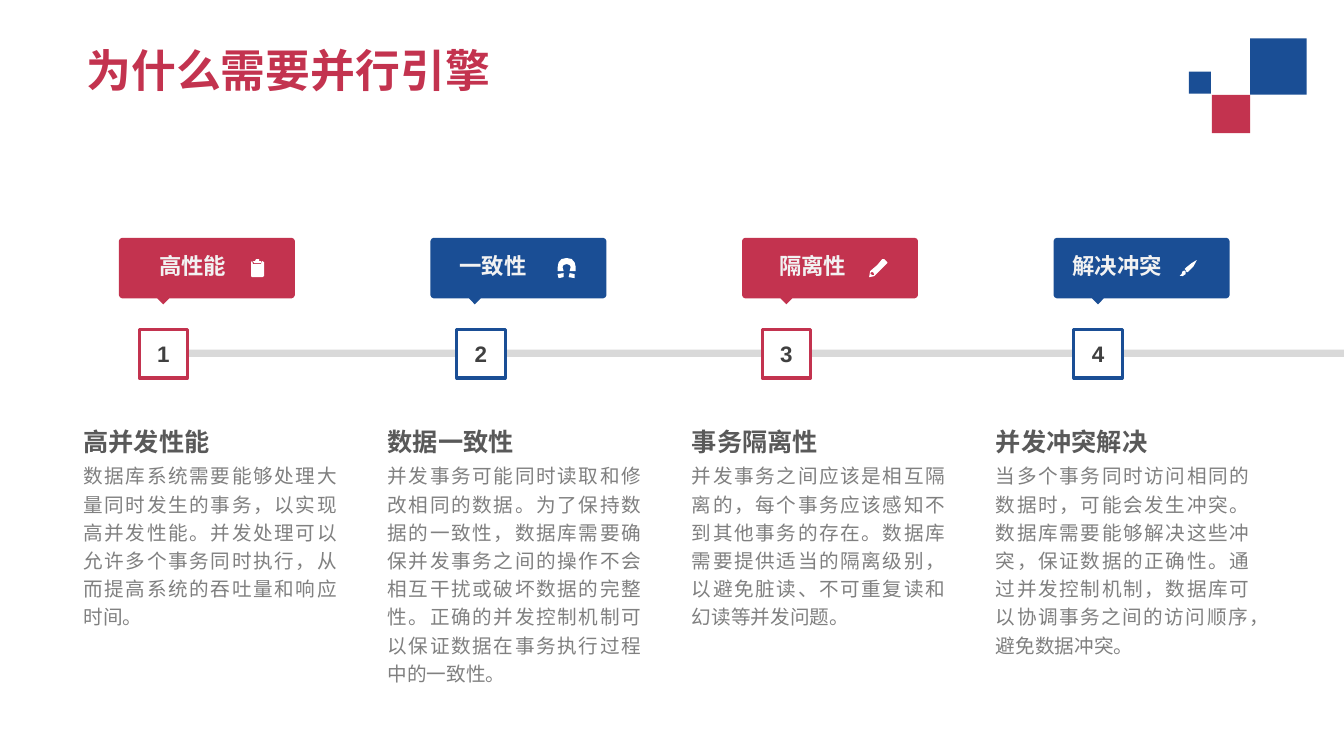
import pptx
import pptx.util
import pptx.dml.color
import pptx.enum.shapes
import pptx.enum.text

Inches = pptx.util.Inches
Pt = pptx.util.Pt
ALIGN = pptx.enum.text.PP_ALIGN
MIDDLE = pptx.enum.text.MSO_ANCHOR.MIDDLE
GROW = pptx.enum.text.MSO_AUTO_SIZE.SHAPE_TO_FIT_TEXT
RECT = pptx.enum.shapes.MSO_SHAPE.RECTANGLE

# Content
RED, BLUE, WHITE = "C3334F", "1A4E95", "FFFFFF"
TITLE = "为什么需要并行引擎"

# Outlines in hundredths of an inch from the badge's top left corner
BADGE = [[(0, 3), (1, 1), (3, 0), (171.5, 0), (173.5, 1), (174.5, 3),
          (174.5, 57), (173.5, 59), (171.5, 60), (50, 60), (44, 66),
          (38, 60), (3, 60), (1, 59), (0, 57)]]
CLIP = [[(142, 23), (141, 26), (133, 26), (132, 23), (131, 24), (131, 38),
         (132, 39), (142, 39), (144, 38), (144, 24)],
        [(141, 25), (141, 23), (139, 23), (139, 21), (136, 21), (135, 23),
         (133, 23), (134, 25)]]
MAGNET = [[(126, 30), (126, 33), (132, 33), (131, 29), (132, 27), (135, 26),
           (138, 27), (139, 29), (138, 33), (144, 33), (144, 29),
           (143, 24.5), (140, 21), (135, 20), (130, 21), (127, 24.5)],
          [(126, 36), (127, 40), (132, 39), (132, 35)],
          [(137, 39), (143, 40), (143, 36), (138, 35)]]
PENCIL = [[(131, 37), (129, 37), (127, 35), (128, 34), (130, 34), (131, 36)],
          [(142, 22), (141, 21), (139, 21), (134, 27), (127, 33), (126, 39),
           (131, 38), (138, 31), (144, 25), (144, 24)]]
BRUSH = [[(142, 22), (137, 25), (132, 29), (130, 31), (131, 32), (132, 34),
          (133, 34), (135, 32), (139, 28)],
         [(128, 33), (127, 36), (125, 37.5), (128, 38), (131, 36),
          (131, 33.5), (130, 32.5)]]

# label, label left, label width, number left, colour, icon, heading, body, body height
STEPS = [
    ("高性能", 1.37, 1.08, 1.38, RED, CLIP, "高并发性能",
     "数据库系统需要能够处理大量同时发生的事务，以实现高并发性能。并发处理可以允许多个事务同时执行，从而提高系统的吞吐量和响应时间。", 1.77),
    ("一致性", 4.35, 1.08, 4.53, BLUE, MAGNET, "数据一致性",
     "并发事务可能同时读取和修改相同的数据。为了保持数据的一致性，数据库需要确保并发事务之间的操作不会相互干扰或破坏数据的完整性。正确的并发控制机制可以保证数据在事务执行过程中的一致性。", 2.34),
    ("隔离性", 7.52, 1.08, 7.56, RED, PENCIL, "事务隔离性",
     "并发事务之间应该是相互隔离的，每个事务应该感知不到其他事务的存在。数据库需要提供适当的隔离级别，以避免脏读、不可重复读和幻读等并发问题。", 1.77),
    ("解决冲突", 10.45, 1.26, 10.65, BLUE, BRUSH, "并发冲突解决",
     "当多个事务同时访问相同的数据时，可能会发生冲突。数据库需要能够解决这些冲突，保证数据的正确性。通过并发控制机制，数据库可以协调事务之间的访问顺序，避免数据冲突。", 2.06),
]
# left, top, side, colour
SQUARES = [(12.4, 0.38, 0.56, BLUE), (12.02, 0.94, 0.38, RED),
           (11.79, 0.71, 0.22, BLUE)]

# Text formats: frame, paragraph, font, colour
PAD = {"margin_" + side: Inches(0.03)
       for side in ("left", "right", "top", "bottom")}
HEAD = ({"word_wrap": False, "auto_size": GROW}, {},
        {"size": Pt(32), "bold": True}, RED)
LABEL = ({"word_wrap": True, "vertical_anchor": MIDDLE},
         {"alignment": ALIGN.CENTER, "line_spacing": 0.9,
          "space_before": Pt(10)},
         {"size": Pt(16), "bold": True}, "F2F2F2")
NUMBER = ({"word_wrap": True, "vertical_anchor": MIDDLE, **PAD},
          {"alignment": ALIGN.CENTER},
          {"size": Pt(16), "bold": True}, "404040")
FLOW = {"word_wrap": True, "auto_size": GROW}
JUST = {"alignment": ALIGN.JUSTIFY, "line_spacing": 1.2}
TOPIC = (FLOW, JUST, {"size": Pt(18), "bold": True}, "595959")
BODY = (FLOW, JUST, {"size": Pt(14), "bold": False}, "808080")

# Layout
BADGE_X, BADGE_Y, BADGE_GAP = 1.18, 2.36, 3.09
TEXT_X, TEXT_GAP = 0.73, 9.05 / 3
NUM_Y, NUM_SIDE = 3.27, 0.48


def paint(target, color):
    target.rgb = pptx.dml.color.RGBColor.from_string(color)


def apply(target, values):
    for name, value in values.items():
        setattr(target, name, value)


def finish(shape, color, edge=None):
    shape.shadow.inherit = False
    shape.fill.solid()
    paint(shape.fill.fore_color, color)
    if edge:
        paint(shape.line.color, edge)
        shape.line.width = Pt(2.25)
    else:
        shape.line.fill.background()
    return shape


def block(x, y, w, h, color, edge=None):
    box = map(Inches, (x, y, w, h))
    return finish(slide.shapes.add_shape(RECT, *box), color, edge)


def outline(x, y, paths, color):
    build = None
    for path in paths:
        pts = [(Inches(x + px / 100), Inches(y + py / 100)) for px, py in path]
        if build is None:
            build = slide.shapes.build_freeform(*pts[0], scale=1.0)
        else:
            build.move_to(*pts[0])
        build.add_line_segments(pts[1:], close=True)
    finish(build.convert_to_shape(), color)


def write(shape, words, style):
    frame, para, font, color = style
    apply(shape.text_frame, frame)
    line = shape.text_frame.paragraphs[0]
    apply(line, para)
    run = line.add_run()
    run.text = words
    apply(run.font, {"name": "Arial", **font})
    paint(run.font.color, color)


def label(x, y, w, h, words, style):
    box = map(Inches, (x, y, w, h))
    write(slide.shapes.add_textbox(*box), words, style)


deck = pptx.Presentation()
deck.slide_width, deck.slide_height = Inches(13.33), Inches(7.5)
slide = deck.slides.add_slide(deck.slide_layouts[6])

# Title and corner squares
label(0.76, 0.37, 4.24, 0.64, TITLE, HEAD)
for x, y, side, color in SQUARES:
    block(x, y, side, side, color)

# Timeline bar, then one step per column
block(1.68, 3.47, 11.65, 0.07, "D9D9D9")
for i, step in enumerate(STEPS):
    name, name_x, name_w, num_x, color, icon, topic, body, tall = step
    left = BADGE_X + i * BADGE_GAP
    outline(left, BADGE_Y, BADGE, color)
    outline(left, BADGE_Y, icon, WHITE)
    label(name_x, 2.43, name_w, 0.45, name, LABEL)
    write(block(num_x, NUM_Y, NUM_SIDE, NUM_SIDE, WHITE, color),
          str(i + 1), NUMBER)
    col = TEXT_X + i * TEXT_GAP
    label(col, 4.51, 2.71, tall, body, BODY)
    label(col, 4.12, 2.45, 0.44, topic, TOPIC)

deck.save("out.pptx")
